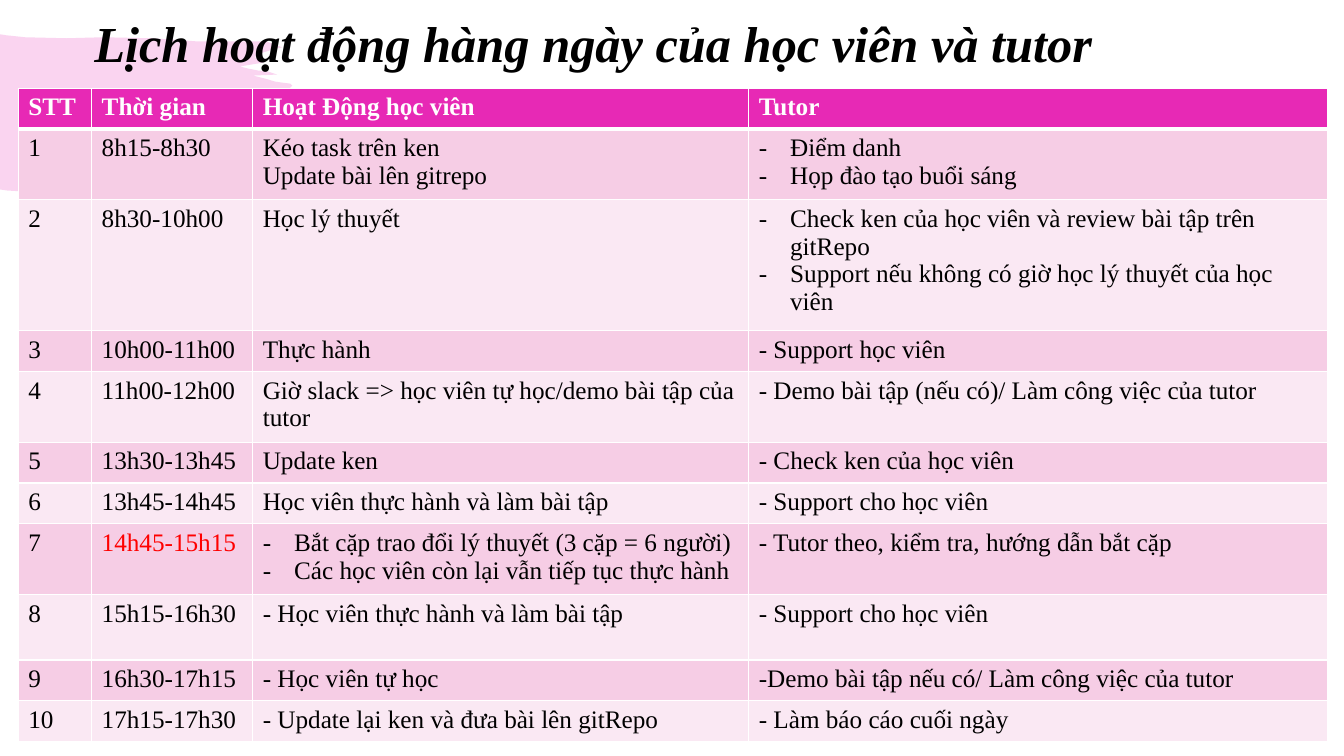
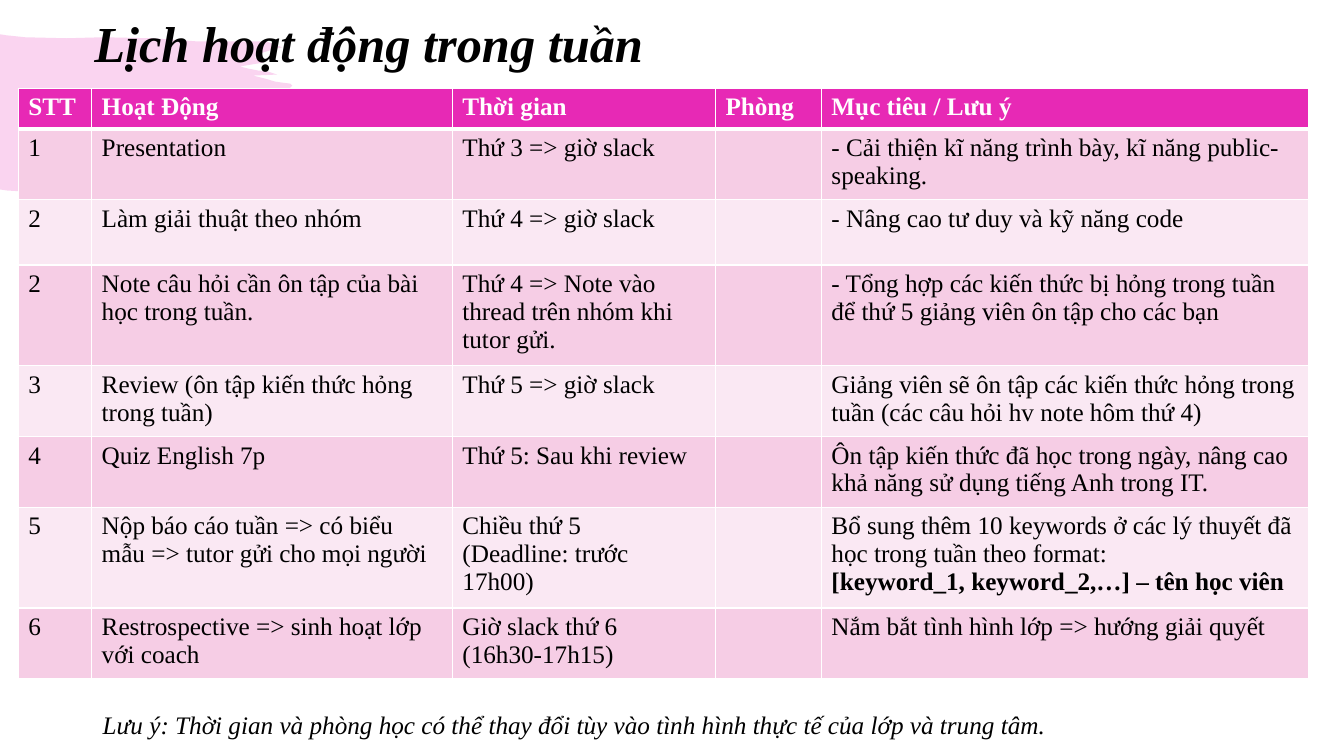
from lxml import etree
from pptx import Presentation
from pptx.dml.color import RGBColor
from pptx.enum.text import MSO_ANCHOR as Anchor
from pptx.oxml.ns import qn
from pptx.util import Cm, Pt

FONT = "Times New Roman"
PINK, BLACK, WHITE, RED = "E729B5", "000000", "FFFFFF", "FF0000"
BANDS = ["FAE8F3", "F6CDE5"]
INDENT = Cm(0.79)

# Brush stroke outline, in hundredths of an inch
BRUSH = [
    (0, 34), (6, 35), (25, 37), (66, 38), (102, 37), (151, 38), (194, 41),
    (248, 41), (264, 41), (280, 47), (271, 49), (255, 54), (253, 57),
    (256, 59), (262, 62), (238, 66), (246, 68), (256, 70), (266, 71),
    (275, 74), (251, 75), (263, 78), (273, 81), (280, 82), (288, 83),
    (290, 85), (287, 88), (284, 88), (263, 88), (330, 94), (321, 97),
    (318, 106), (307, 111), (300, 113), (283, 116), (280, 120), (278, 125),
    (274, 128), (308, 128), (269, 138), (273, 142), (252, 148), (263, 148),
    (233, 160), (197, 172), (102, 188), (65, 191), (23, 190), (7, 189),
    (0, 188),
]

# Each row: number of text lines, then its cells; a list is a dashed list
DAILY = [
    (1, "STT", "Thời gian", "Hoạt Động học viên", "Tutor"),
    (2, "1", "8h15-8h30", "Kéo task trên ken\nUpdate bài lên gitrepo",
     ["Điểm danh", "Họp đào tạo buổi sáng"]),
    (4, "2", "8h30-10h00", "Học lý thuyết",
     ["Check ken của học viên và review bài tập trên gitRepo",
      "Support nếu không có giờ học lý thuyết của học viên"]),
    (1, "3", "10h00-11h00", "Thực hành", "- Support học viên"),
    (2, "4", "11h00-12h00", "Giờ slack => học viên tự học/demo bài tập của tutor",
     "- Demo bài tập (nếu có)/ Làm công việc của tutor"),
    (1, "5", "13h30-13h45", "Update ken", "- Check ken của học viên"),
    (1, "6", "13h45-14h45", "Học viên thực hành và làm bài tập",
     "- Support cho học viên"),
    (2, "7", "14h45-15h15",
     ["Bắt cặp trao đổi lý thuyết (3 cặp = 6 người)",
      "Các học viên còn lại vẫn tiếp tục thực hành"],
     "- Tutor theo, kiểm tra, hướng dẫn bắt cặp"),
    (2, "8", "15h15-16h30", "- Học viên thực hành và làm bài tập",
     "- Support cho học viên"),
    (1, "9", "16h30-17h15", "- Học viên tự học",
     "-Demo bài tập nếu có/ Làm công việc của tutor"),
    (1, "10", "17h15-17h30", "- Update lại ken và đưa bài lên gitRepo",
     "- Làm báo cáo cuối ngày"),
]
WEEKLY = [
    (1, "STT", "Hoạt Động", "Thời gian", "Phòng", "Mục tiêu / Lưu ý"),
    (2, "1", "Presentation", "Thứ 3 => giờ slack", "",
     "- Cải thiện kĩ năng trình bày, kĩ năng public-speaking."),
    (2, "2", "Làm giải thuật theo nhóm", "Thứ 4 => giờ slack", "",
     "- Nâng cao tư duy và kỹ năng code"),
    (3, "2", "Note câu hỏi cần ôn tập của bài học trong tuần.",
     "Thứ 4 => Note vào thread trên nhóm khi tutor gửi.", "",
     "- Tổng hợp các kiến thức bị hỏng trong tuần để thứ 5 giảng viên ôn tập cho các bạn"),
    (2, "3", "Review (ôn tập kiến thức hỏng trong tuần)", "Thứ 5 => giờ slack", "",
     "Giảng viên sẽ ôn tập các kiến thức hỏng trong tuần (các câu hỏi hv note hôm thứ 4)"),
    (2, "4", "Quiz English 7p", "Thứ 5: Sau khi review", "",
     "Ôn tập kiến thức đã học trong ngày, nâng cao khả năng sử dụng tiếng Anh trong IT."),
    (3, "5", "Nộp báo cáo tuần => có biểu mẫu => tutor gửi cho mọi người",
     "Chiều thứ 5\n(Deadline: trước 17h00)", "",
     "Bổ sung thêm 10 keywords ở các lý thuyết đã học trong tuần theo format:\n"
     "[keyword_1, keyword_2,…] – tên học viên"),
    (2, "6", "Restrospective => sinh hoạt lớp với coach",
     "Giờ slack thứ 6\n(16h30-17h15)", "",
     "Nắm bắt tình hình lớp => hướng giải quyết"),
]
SCHEDULES = [
    ("Lịch hoạt động hàng ngày của học viên và tutor",
     [1.85, 4.06, 12.5, 14.58], DAILY),
    ("Lịch hoạt động trong tuần", [1.85, 9.09, 6.63, 2.67, 12.27], WEEKLY),
]


def color(hex_text):
    return RGBColor.from_string(hex_text)


def style_text(text_frame, size, hex_text, bold=False, italic=False):
    for paragraph in text_frame.paragraphs:
        for run in paragraph.runs:
            run.font.name, run.font.size = FONT, Pt(size)
            run.font.bold, run.font.italic = bold, italic
            run.font.color.rgb = color(hex_text)


presentation = Presentation()
presentation.slide_width, presentation.slide_height = Cm(33.87), Cm(19.05)
tables = []

for title, widths, rows in SCHEDULES:
    slide = presentation.slides.add_slide(presentation.slide_layouts[6])

    # Brush stroke behind the title
    builder = slide.shapes.build_freeform(*BRUSH[0], scale=Cm(2.54) / 100)
    builder.add_line_segments(BRUSH[1:], close=True)
    brush = builder.convert_to_shape()
    brush.shadow.inherit = False
    brush.line.fill.background()
    brush.fill.solid()
    brush.fill.fore_color.rgb = color(PINK)
    pink = brush.fill._xPr.find(".//" + qn("a:srgbClr"))
    etree.SubElement(pink, qn("a:alpha"), val="20000")

    # Title
    text_frame = slide.shapes.add_textbox(
        Cm(2.13), Cm(0.38), Cm(29.21), Cm(1.55)).text_frame
    text_frame.word_wrap = True
    text_frame.vertical_anchor = Anchor.MIDDLE
    text_frame.text = title
    text_frame.paragraphs[0].line_spacing = 0.9
    style_text(text_frame, 36, BLACK, bold=True, italic=True)

    # Timetable
    table = slide.shapes.add_table(
        len(rows), len(widths), Cm(0.46), Cm(2.22),
        Cm(sum(widths)), Cm(1.03 * len(rows))).table
    tables.append(table)
    for column, width in zip(table.columns, widths):
        column.width = Cm(width)
    for row_index, (line_count, *contents) in enumerate(rows):
        table.rows[row_index].height = Cm(max(1.03, 0.25 + 0.7 * line_count))
        is_header = row_index == 0
        for column_index, content in enumerate(contents):
            cell = table.cell(row_index, column_index)
            is_list = isinstance(content, list)
            cell.text_frame.text = "\n".join(content) if is_list else content
            if is_list:
                for paragraph in cell.text_frame.paragraphs:
                    properties = paragraph._p.get_or_add_pPr()
                    properties.set("marL", str(INDENT))
                    properties.set("indent", str(-INDENT))
                    etree.SubElement(properties, qn("a:buFont"), typeface=FONT)
                    etree.SubElement(properties, qn("a:buChar"), char="-")
            style_text(cell.text_frame, 18, WHITE if is_header else BLACK, is_header)

            # White borders, thicker below the header
            cell_properties = cell._tc.get_or_add_tcPr()
            for side in "LRTB":
                thick = (row_index, side) in [(0, "B"), (1, "T")]
                border = etree.SubElement(cell_properties, qn("a:ln" + side),
                                          w=str(Pt(3 if thick else 1)))
                border_fill = etree.SubElement(border, qn("a:solidFill"))
                etree.SubElement(border_fill, qn("a:srgbClr"), val=WHITE)
            cell.fill.solid()
            cell.fill.fore_color.rgb = color(PINK if is_header else BANDS[row_index % 2])

# Emphasis in the two timetables
daily_table, weekly_table = tables
style_text(daily_table.cell(7, 1).text_frame, 18, RED)
keyword_format = weekly_table.cell(6, 4).text_frame.paragraphs[-1]
keyword_format.runs[0].font.bold = True

# Note below the weekly timetable
text_frame = slide.shapes.add_textbox(
    Cm(2.34), Cm(17.75), Cm(28.8), Cm(1.02)).text_frame
text_frame.word_wrap = True
text_frame.text = ("Lưu ý: Thời gian và phòng học có thể thay đổi tùy vào "
                   "tình hình thực tế của lớp và trung tâm.")
style_text(text_frame, 18, BLACK, italic=True)

presentation.save("out.pptx")
